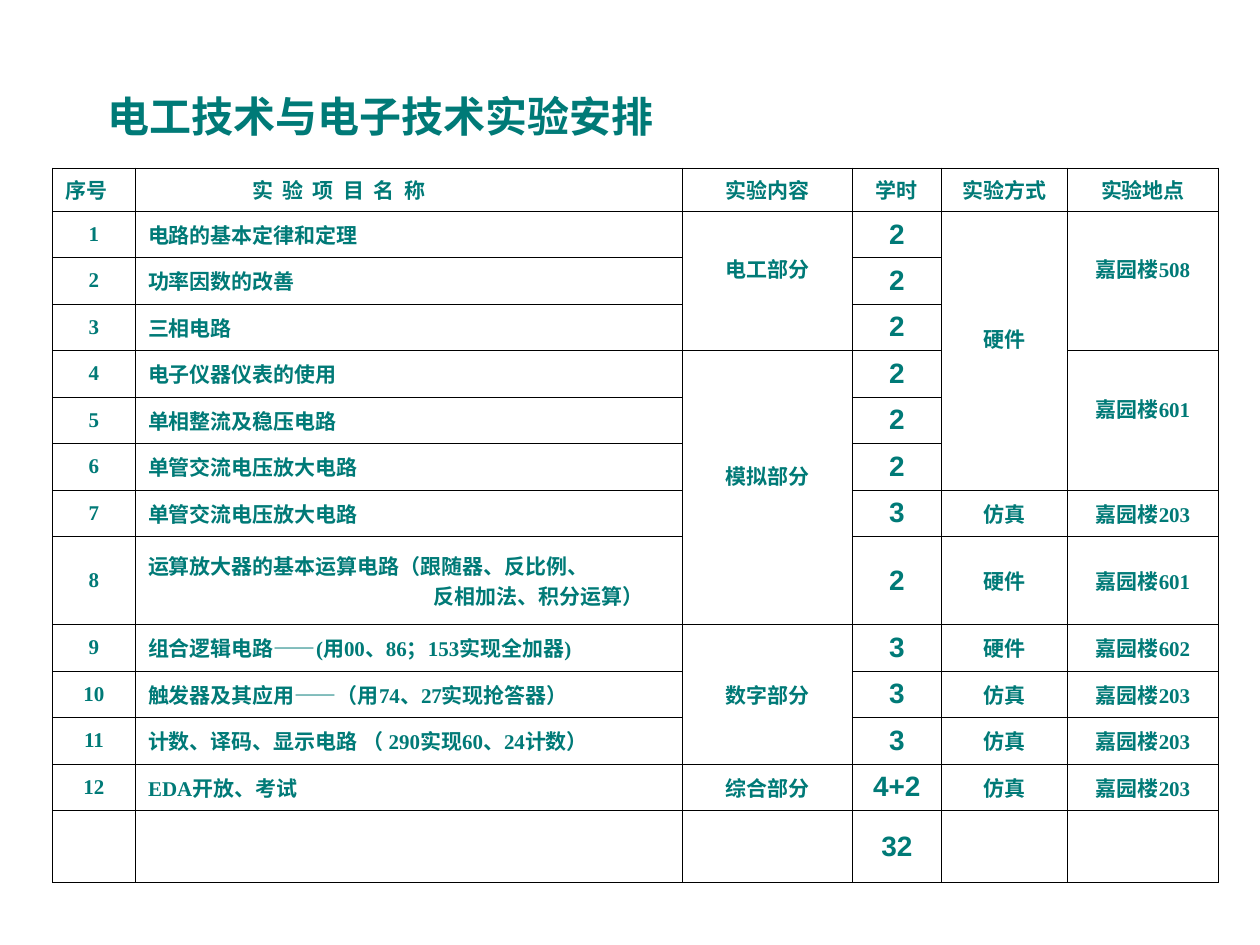
from lxml import etree
from pptx import Presentation
from pptx.dml.color import RGBColor
from pptx.enum import text
from pptx.oxml.ns import qn
from pptx.util import Pt

COLORS = {"teal": "007A77", "border": "000000"}
SERIF, SANS = "Times New Roman", "Arial"

COL_WIDTHS = [47.4, 312.6, 97.1, 50.9, 72, 86.4]
ROW_HEIGHTS = [21.6] + [26.57] * 7 + [50.3] + [26.57] * 4 + [41.1]
NAME_COL, HOURS_COL = 1, 3
LINE_HEIGHT = 14

ROWS = [
    ["序号", "实验项目名称", "实验内容", "学时", "实验方式", "实验地点"],
    ["1", "电路的基本定律和定理", "电工部分", "2", "硬件", "嘉园楼508"],
    ["2", "功率因数的改善", "", "2", "", ""],
    ["3", "三相电路", "", "2", "", ""],
    ["4", "电子仪器仪表的使用", "模拟部分", "2", "", "嘉园楼601"],
    ["5", "单相整流及稳压电路", "", "2", "", ""],
    ["6", "单管交流电压放大电路", "", "2", "", ""],
    ["7", "单管交流电压放大电路", "", "3", "仿真", "嘉园楼203"],
    ["8", "运算放大器的基本运算电路（跟随器、反比例、\n反相加法、积分运算）", "", "2",
     "硬件", "嘉园楼601"],
    ["9", "组合逻辑电路――(用00、86；153实现全加器)", "数字部分", "3", "硬件", "嘉园楼602"],
    ["10", "触发器及其应用――（用74、27实现抢答器）", "", "3", "仿真", "嘉园楼203"],
    ["11", "计数、译码、显示电路 （ 290实现60、24计数）", "", "3", "仿真", "嘉园楼203"],
    ["12", "EDA开放、考试", "综合部分", "4+2", "仿真", "嘉园楼203"],
    ["", "", "", "32", "", ""],
]

# (first row, last row, column, text raised by half a line)
MERGES = [
    (1, 3, 2, True), (4, 8, 2, True), (9, 11, 2, False),
    (1, 6, 4, True), (1, 3, 5, True), (4, 6, 5, True),
]


def set_font(p, size, name=SERIF):
    p.font.size = Pt(size)
    p.font.name = name
    p.font.bold = True
    p.font.color.rgb = RGBColor.from_string(COLORS["teal"])


def indent(p, points):
    p._p.get_or_add_pPr().set("marL", str(Pt(points)))


def add_borders(cell, width=0.45):
    tcPr = cell._tc.get_or_add_tcPr()
    for side in ("lnL", "lnR", "lnT", "lnB"):
        ln = etree.SubElement(tcPr, qn(f"a:{side}"), w=str(Pt(width)))
        fill = etree.SubElement(ln, qn("a:solidFill"))
        etree.SubElement(fill, qn("a:srgbClr"), val=COLORS["border"])


def fill_cell(cell, content, row, col):
    add_borders(cell)
    cell.fill.background()
    cell.vertical_anchor = text.MSO_ANCHOR.MIDDLE
    if not content:
        return
    cell.text_frame.text = content
    left = col == NAME_COL or (row, col) == (0, 0)
    hours = col == HOURS_COL and row > 0
    for p in cell.text_frame.paragraphs:
        p.alignment = text.PP_ALIGN.LEFT if left else text.PP_ALIGN.CENTER
        set_font(p, 16 if hours else 12, SANS if hours else SERIF)


def add_title(s):
    sp = s.shapes.title
    sp.left, sp.top, sp.width, sp.height = Pt(54), Pt(48), Pt(495), Pt(36)
    tf = sp.text_frame
    tf.text = "电工技术与电子技术实验安排"
    tf.auto_size = text.MSO_AUTO_SIZE.NONE
    tf.vertical_anchor = text.MSO_ANCHOR.MIDDLE
    p = tf.paragraphs[0]
    p.alignment = text.PP_ALIGN.LEFT
    set_font(p, 24)


def add_schedule(s):
    table = s.shapes.add_table(
        len(ROWS), len(COL_WIDTHS), Pt(30), Pt(96),
        Pt(sum(COL_WIDTHS)), Pt(sum(ROW_HEIGHTS))).table
    table.first_row = table.horz_banding = False
    for column, width in zip(table.columns, COL_WIDTHS):
        column.width = Pt(width)
    for row, height in zip(table.rows, ROW_HEIGHTS):
        row.height = Pt(height)
    for i, row in enumerate(ROWS):
        for j, content in enumerate(row):
            fill_cell(table.cell(i, j), content, i, j)
    for first, last, col, raised in MERGES:
        cell = table.cell(first, col)
        cell.merge(table.cell(last, col))
        if raised:
            cell.margin_bottom = Pt(3.6 + LINE_HEIGHT)

    heading = table.cell(0, NAME_COL).text_frame.paragraphs[0]
    indent(heading, 59.5)
    heading.runs[0]._r.get_or_add_rPr().set("spc", "540")
    indent(table.cell(8, NAME_COL).text_frame.paragraphs[1], 163)


def main():
    prs = Presentation()
    prs.slide_width, prs.slide_height = Pt(720), Pt(540)
    s = prs.slides.add_slide(prs.slide_layouts[5])
    add_title(s)
    add_schedule(s)
    prs.save("out.pptx")


if __name__ == "__main__":
    main()
